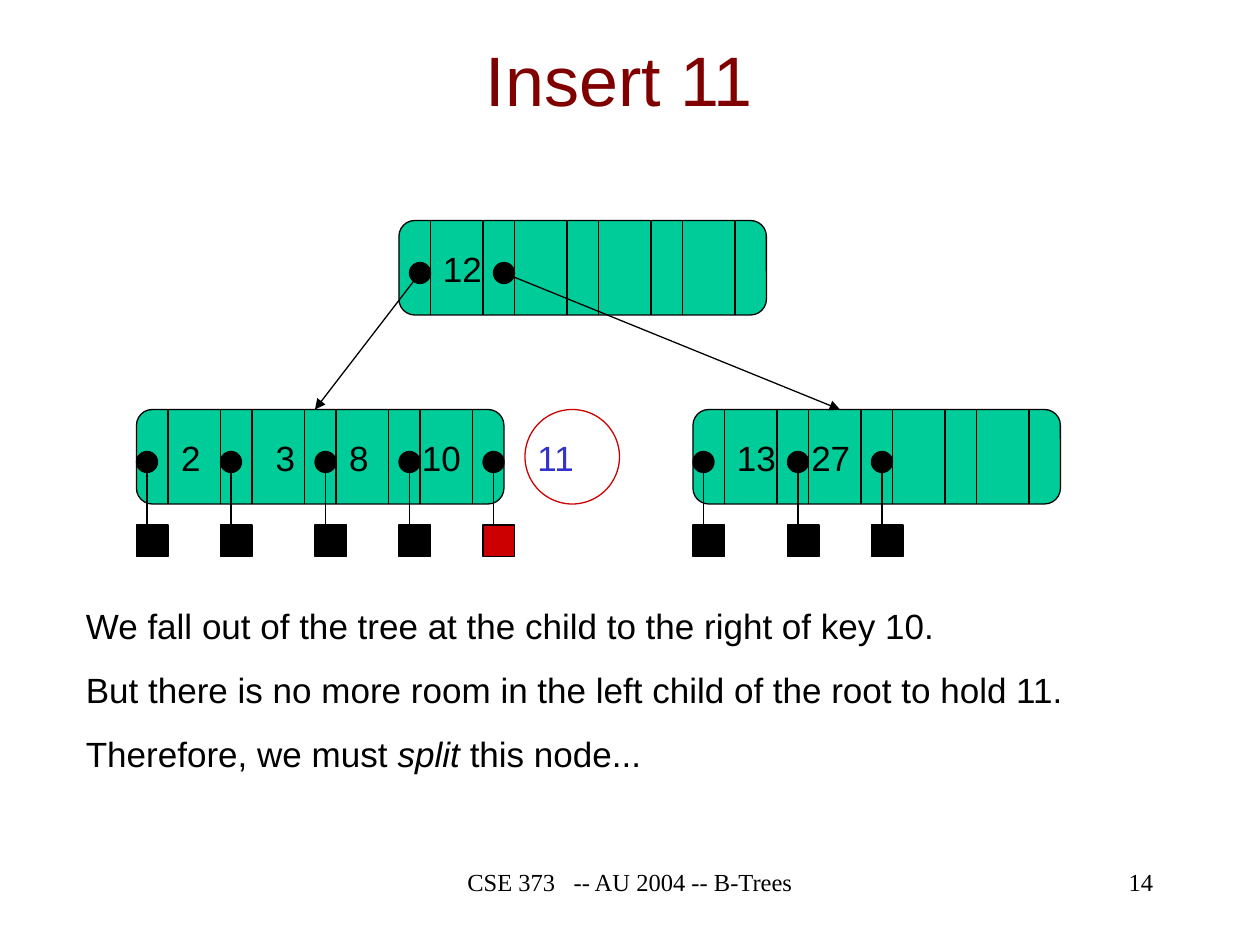
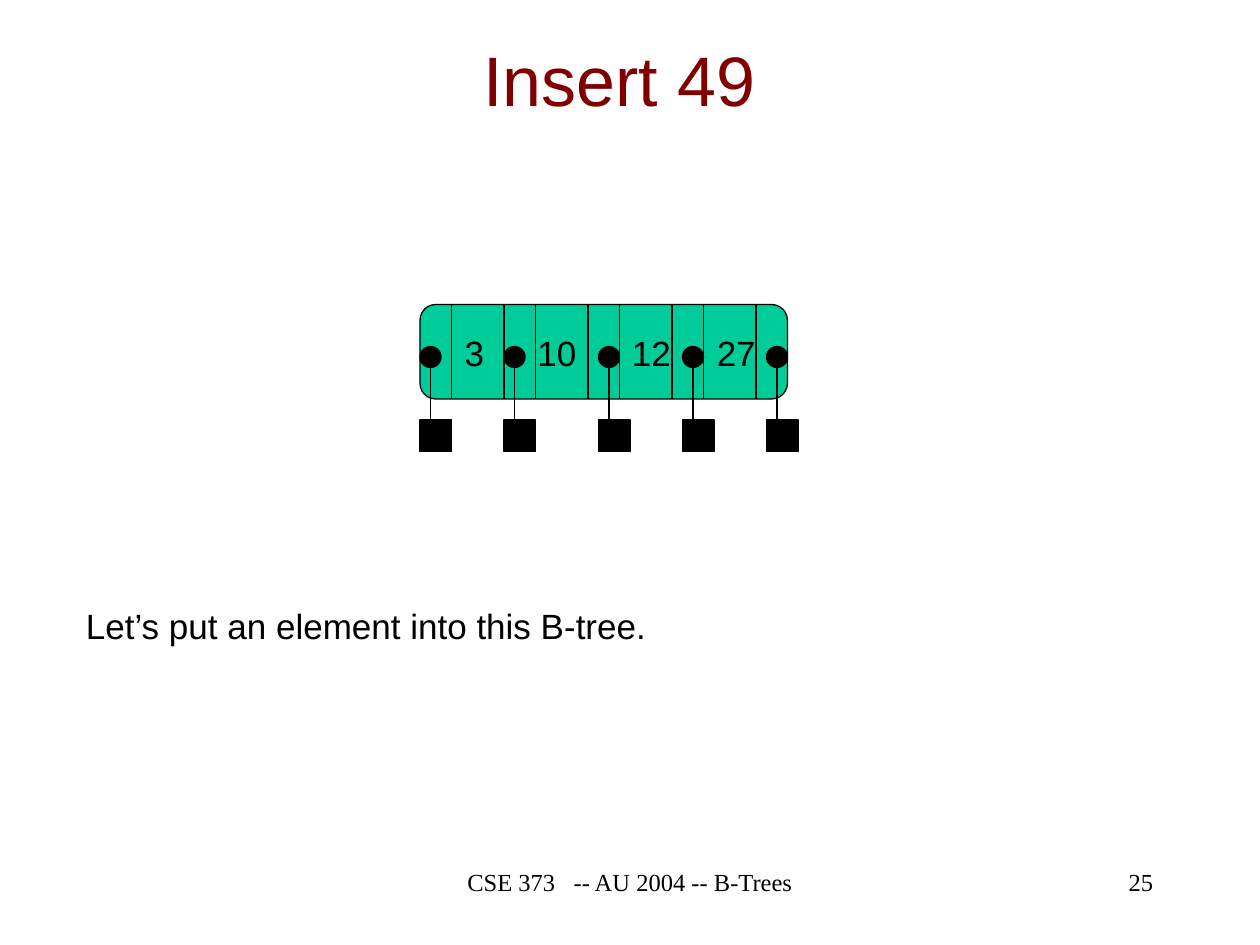
from lxml import etree
from pptx import Presentation
from pptx.dml.color import RGBColor
from pptx.enum.shapes import MSO_CONNECTOR, MSO_SHAPE
from pptx.enum.text import MSO_ANCHOR, MSO_AUTO_SIZE, PP_ALIGN
from pptx.oxml.ns import qn
from pptx.util import Pt

BLACK = RGBColor(0x00, 0x00, 0x00)
MAROON = RGBColor(0x80, 0x00, 0x00)
GREEN = RGBColor(0x00, 0xCC, 0x99)
RED = RGBColor(0xCC, 0x00, 0x00)
BLUE = RGBColor(0x33, 0x33, 0xCC)

LEFT, CENTER, RIGHT = PP_ALIGN.LEFT, PP_ALIGN.CENTER, PP_ALIGN.RIGHT
MIDDLE = MSO_ANCHOR.MIDDLE
NO_FIT, GROW = MSO_AUTO_SIZE.NONE, MSO_AUTO_SIZE.SHAPE_TO_FIT_TEXT
STRAIGHT = MSO_CONNECTOR.STRAIGHT
RECTANGLE, ROUNDED, OVAL = MSO_SHAPE.RECTANGLE, MSO_SHAPE.ROUNDED_RECTANGLE, MSO_SHAPE.OVAL

SANS, SERIF = "Arial", "Times New Roman"
FOOTER = "CSE 373   -- AU 2004 -- B-Trees"
LINE_WIDTH = 0.75
NODE_WIDTH, NODE_HEIGHT = 210, 54
POINTER_WIDTH, CELL_PITCH, KEY_SLOTS = 18, 48, 4
DOT, DOT_TOP = 12, 24
LEAF, LEAF_TOP = 18, 66
FULL_NODE_DOTS = [0, 48, 102, 150, 198]


class TreeDeck:
    def __init__(self):
        self.deck = Presentation()
        self.deck.slide_width, self.deck.slide_height = Pt(720), Pt(540)
        self.page = None

    def add_page(self, title, number):
        self.page = self.deck.slides.add_slide(self.deck.slide_layouts[5])
        box = self.page.shapes.title
        box.left, box.top, box.width, box.height = Pt(48), Pt(12), Pt(612), Pt(66)
        frame = box.text_frame
        frame.text = title
        frame.auto_size = NO_FIT
        frame.vertical_anchor = MIDDLE
        self.style(frame.paragraphs[0], 40, MAROON, align=CENTER)
        self.text(FOOTER, 246, 492, 228, 36, size=14, font=SERIF, align=CENTER)
        self.text(str(number), 516, 492, 150, 36, size=14, font=SERIF, align=RIGHT)

    def style(self, para, size, color, font=SANS, align=LEFT):
        para.alignment = align
        para.font.size = Pt(size)
        para.font.name = font
        para.font.color.rgb = color

    def text(self, words, left, top, width, height, size=20, color=BLACK,
             font=SANS, align=LEFT, wrap=True):
        box = self.page.shapes.add_textbox(Pt(left), Pt(top), Pt(width), Pt(height))
        box.text_frame.word_wrap = wrap
        box.text_frame.text = words
        self.style(box.text_frame.paragraphs[0], size, color, font, align)
        return box

    def key(self, words, left, top, color=BLACK):
        box = self.text(words, left, top, 14.4 + 11.1 * len(words), 31.5,
                        color=color, wrap=False)
        box.text_frame.auto_size = GROW

    def caption(self, lines, height):
        box = self.page.shapes.add_textbox(Pt(42), Pt(342), Pt(642), Pt(height))
        frame = box.text_frame
        frame.word_wrap = True
        frame.auto_size = GROW
        for index, pieces in enumerate(lines):
            para = frame.add_paragraph() if index else frame.paragraphs[0]
            para.space_before = Pt(12.5)
            self.style(para, 20, BLACK)
            for words, italic in pieces:
                span = para.add_run()
                span.text = words
                if italic:
                    span.font.italic = True

    def shape(self, kind, left, top, width, height, fill=BLACK, line=BLACK):
        shape = self.page.shapes.add_shape(kind, Pt(left), Pt(top), Pt(width), Pt(height))
        shape.shadow.inherit = False
        if fill is None:
            shape.fill.background()
        else:
            shape.fill.solid()
            shape.fill.fore_color.rgb = fill
        shape.line.color.rgb = line
        shape.line.width = Pt(LINE_WIDTH)
        return shape

    def line(self, x1, y1, x2, y2, arrow=False):
        line = self.page.shapes.add_connector(STRAIGHT, Pt(x1), Pt(y1), Pt(x2), Pt(y2))
        line.line.color.rgb = BLACK
        line.line.width = Pt(LINE_WIDTH)
        if arrow:
            outline = line.line._get_or_add_ln()
            etree.SubElement(outline, qn("a:tailEnd"), type="triangle")
        etree.SubElement(line._element.spPr, qn("a:effectLst"))

    def node(self, left, top, keys):
        body = self.shape(ROUNDED, left, top, NODE_WIDTH, NODE_HEIGHT, GREEN)
        body.adjustments[0] = 0.167
        for words, offset in keys:
            self.key(words, left + offset, top + 12)
        for slot in range(KEY_SLOTS):
            for edge in (POINTER_WIDTH, CELL_PITCH):
                x = left + slot * CELL_PITCH + edge
                self.line(x, top, x, top + NODE_HEIGHT)

    def pointer(self, left, top, end_x, end_y):
        self.shape(OVAL, left, top + DOT_TOP, DOT, DOT)
        self.line(left + DOT / 2, top + DOT_TOP + DOT / 2, end_x, end_y, arrow=True)

    def leaves(self, left, top, offsets, fill=BLACK):
        for offset in offsets:
            x = left + offset
            self.pointer(x, top, x + DOT / 2, top + 78)
            self.shape(RECTANGLE, x, top + LEAF_TOP, LEAF, LEAF, fill)


def insert_eleven(tree):
    tree.add_page("Insert 11", 14)
    root_left, root_top = 228, 126
    left_child, right_child, child_top = 78, 396, 234
    tree.node(left_child, child_top, [("2", 18.5), ("3", 72.5), ("8", 114.5), ("10", 156)])
    tree.node(root_left, root_top, [("12", 18)])
    tree.node(right_child, child_top, [("13", 18), ("27", 60.5)])
    tree.leaves(left_child, child_top, FULL_NODE_DOTS[:-1])
    tree.leaves(left_child, child_top, FULL_NODE_DOTS[-1:], RED)
    tree.leaves(right_child, child_top, [0, 54, 102])
    for offset, target in ((54, 480), (6, 180)):
        tree.pointer(root_left + offset, root_top, target, child_top)
    tree.key("11", 300, child_top + 12, BLUE)
    tree.shape(OVAL, 300, child_top, 54, 54, fill=None, line=RED)
    tree.caption([
        [("We fall out of the tree at the child to the right of key 10.", False)],
        [("But there is no more room in the left child of the root to hold 11.", False)],
        [("Therefore, we must ", False), ("split", True), (" this node...", False)],
    ], 104.5)


def insert_forty_nine(tree):
    tree.add_page("Insert 49", 25)
    left, top = 240, 174
    tree.node(left, top, [("3", 18.5), ("10", 60), ("12", 114), ("27", 162.5)])
    tree.leaves(left, top, FULL_NODE_DOTS)
    tree.caption([[("Let’s put an element into this B-tree.", False)]], 31.5)


def main():
    tree = TreeDeck()
    insert_eleven(tree)
    insert_forty_nine(tree)
    tree.deck.save("out.pptx")


if __name__ == "__main__":
    main()
